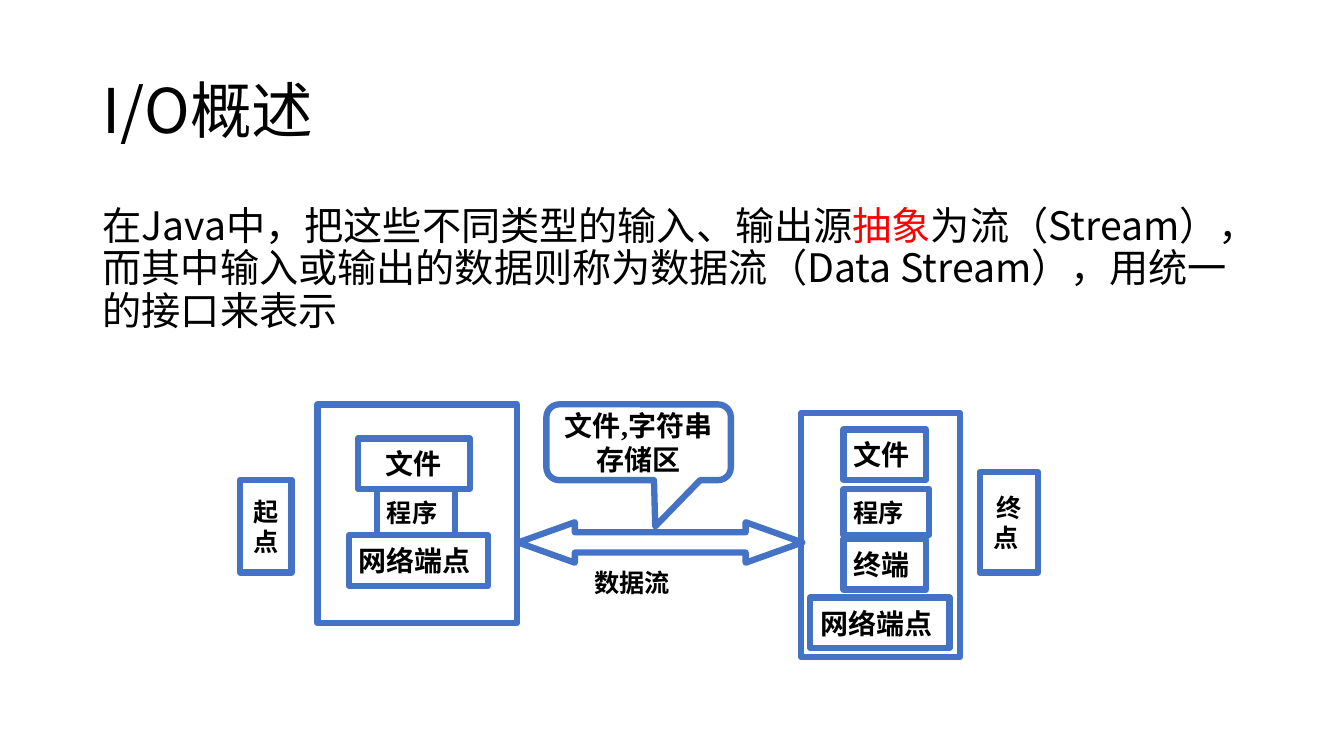
"""Build the I/O overview slide with its data stream diagram."""
from dataclasses import dataclass

from lxml import etree
from pptx import Presentation
from pptx.dml.color import RGBColor
from pptx.enum.shapes import MSO_SHAPE
from pptx.enum.text import MSO_ANCHOR, PP_ALIGN
from pptx.oxml.ns import qn
from pptx.util import Cm, Pt

RECT = MSO_SHAPE.RECTANGLE
ARROW = MSO_SHAPE.LEFT_RIGHT_ARROW
CALLOUT = MSO_SHAPE.ROUNDED_RECTANGULAR_CALLOUT
LEFT, CENTER = PP_ALIGN.LEFT, PP_ALIGN.CENTER
TOP, MIDDLE = MSO_ANCHOR.TOP, MSO_ANCHOR.MIDDLE

BLACK = RGBColor(0x00, 0x00, 0x00)
RED = RGBColor(0xFF, 0x00, 0x00)
BLUE = RGBColor(0x44, 0x72, 0xC4)
SANS = "Noto Sans CJK SC"
SERIF = "Times New Roman"


@dataclass(frozen=True)
class Node:
    left: float
    top: float
    width: float
    height: float
    lines: tuple[str, ...] = ()
    size: int = 20
    align: PP_ALIGN = LEFT
    kind: MSO_SHAPE = RECT
    adjustments: tuple[float, ...] = ()


NODES = (
    Node(20.19, 10.41, 4.01, 6.15),
    Node(21.26, 10.82, 2.08, 1.27, ("文件",)),
    Node(21.26, 12.32, 2.16, 1.17, ("程序",), 18),
    Node(21.26, 13.59, 2.08, 1.27, ("终端",)),
    Node(8, 10.19, 5.03, 5.51),
    Node(9.02, 11.05, 2.82, 1.27, ("文件",), align=CENTER),
    Node(9.5, 12.32, 1.96, 1.17, ("程序",), 18),
    Node(8.79, 13.49, 3.51, 1.27, ("网络端点",)),
    Node(13.06, 13.16, 7.16, 1.02, kind=ARROW, adjustments=(0.5, 1.4)),
    Node(6.05, 12.09, 1.3, 2.34, ("起", "点"), 18, CENTER),
    Node(24.69, 11.89, 1.47, 2.54, ("终", "点 "), 18, CENTER),
    Node(20.42, 15.06, 3.51, 1.27, ("网络端点",)),
    Node(13.77, 10.19, 4.65, 1.91, ("文件,字符串", "存储区"), 20, CENTER,
         CALLOUT, (0.09, 1.11, 0.17)),
)
BODY = (
    ("在Java中，把这些不同类型的输入、输出源", BLACK),
    ("抽象", RED),
    ("为流（Stream），而其中输入或输出的数据则称为数据流（Data Stream），用统一的接口来表示", BLACK),
)


def format_run(r, size: int, font: str, color: RGBColor = BLACK, bold: bool = False) -> None:
    r.font.size = Pt(size)
    r.font.name = font
    r.font.bold = bold
    r.font.color.rgb = color
    etree.SubElement(r.font._element, qn("a:ea"), typeface=SANS)


def write_label(tf, lines: tuple[str, ...], size: int, align: PP_ALIGN) -> None:
    tf.word_wrap = False
    tf.text = "\n".join(lines)
    for p in tf.paragraphs:
        p.alignment = align
        for r in p.runs:
            format_run(r, size, SERIF, bold=True)


def add_node(s, node: Node) -> None:
    sp = s.shapes.add_shape(node.kind, Cm(node.left), Cm(node.top),
                            Cm(node.width), Cm(node.height))
    for i, value in enumerate(node.adjustments):
        sp.adjustments[i] = value
    sp.shadow.inherit = False
    sp.fill.background()
    sp.line.color.rgb = BLUE
    sp.line.width = Pt(4.5)
    if node.lines:
        sp.text_frame.vertical_anchor = MIDDLE
        write_label(sp.text_frame, node.lines, node.size, node.align)


def add_prose(s, top: float, height: float, parts: tuple, size: int,
              anchor: MSO_ANCHOR, space_before: int) -> None:
    tf = s.shapes.add_textbox(Cm(2.34), Cm(top), Cm(29.21), Cm(height)).text_frame
    tf.word_wrap = True
    tf.vertical_anchor = anchor
    p = tf.paragraphs[0]
    p.line_spacing = 0.9
    p.space_before = Pt(space_before)
    for text, color in parts:
        r = p.add_run()
        r.text = text
        format_run(r, size, SANS, color)


def main() -> None:
    prs = Presentation()
    prs.slide_width, prs.slide_height = Cm(33.87), Cm(19.05)
    s = prs.slides.add_slide(prs.slide_layouts[6])
    add_prose(s, 1.02, 3.68, (("I/O概述", BLACK),), 44, MIDDLE, 0)
    add_prose(s, 5.08, 12.09, BODY, 28, TOP, 10)
    for node in NODES:
        add_node(s, node)
    caption = s.shapes.add_textbox(Cm(14.73), Cm(14.17), Cm(2.44), Cm(1.02))
    write_label(caption.text_frame, ("数据流",), 18, LEFT)
    prs.save("out.pptx")


if __name__ == "__main__":
    main()
